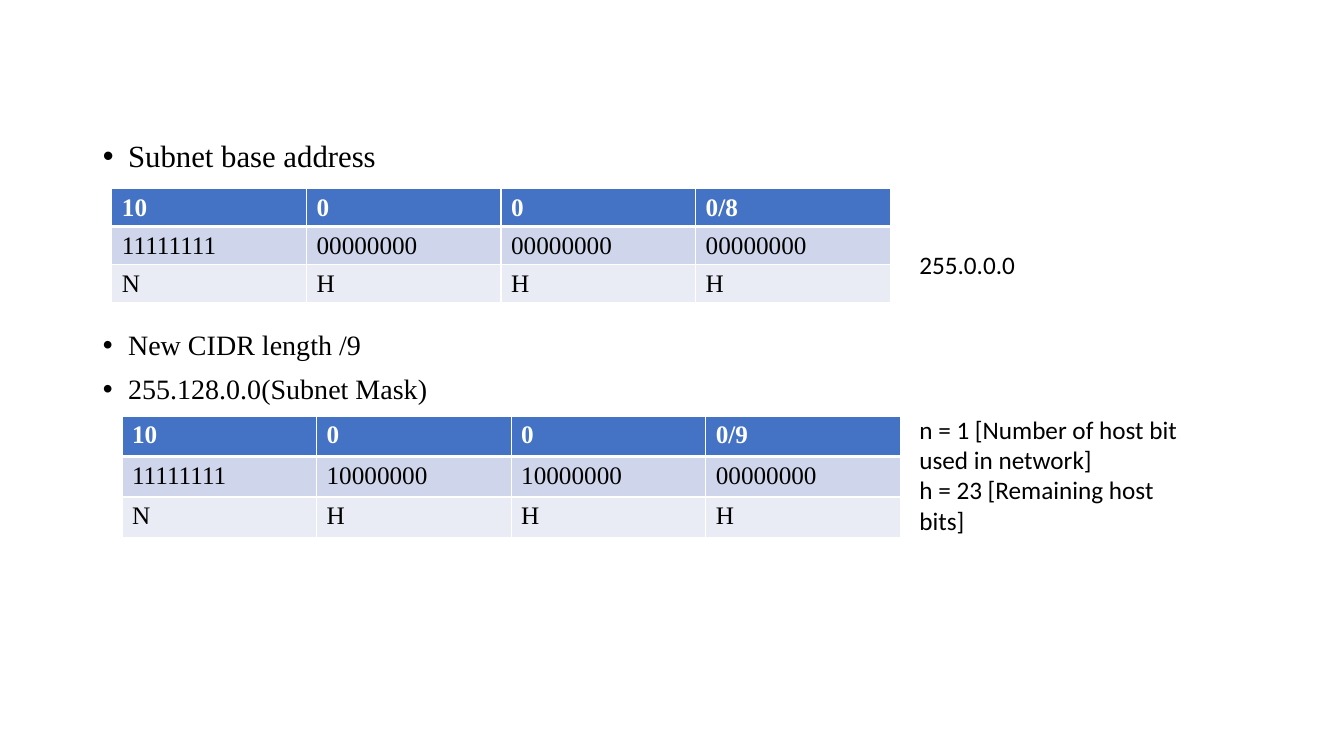
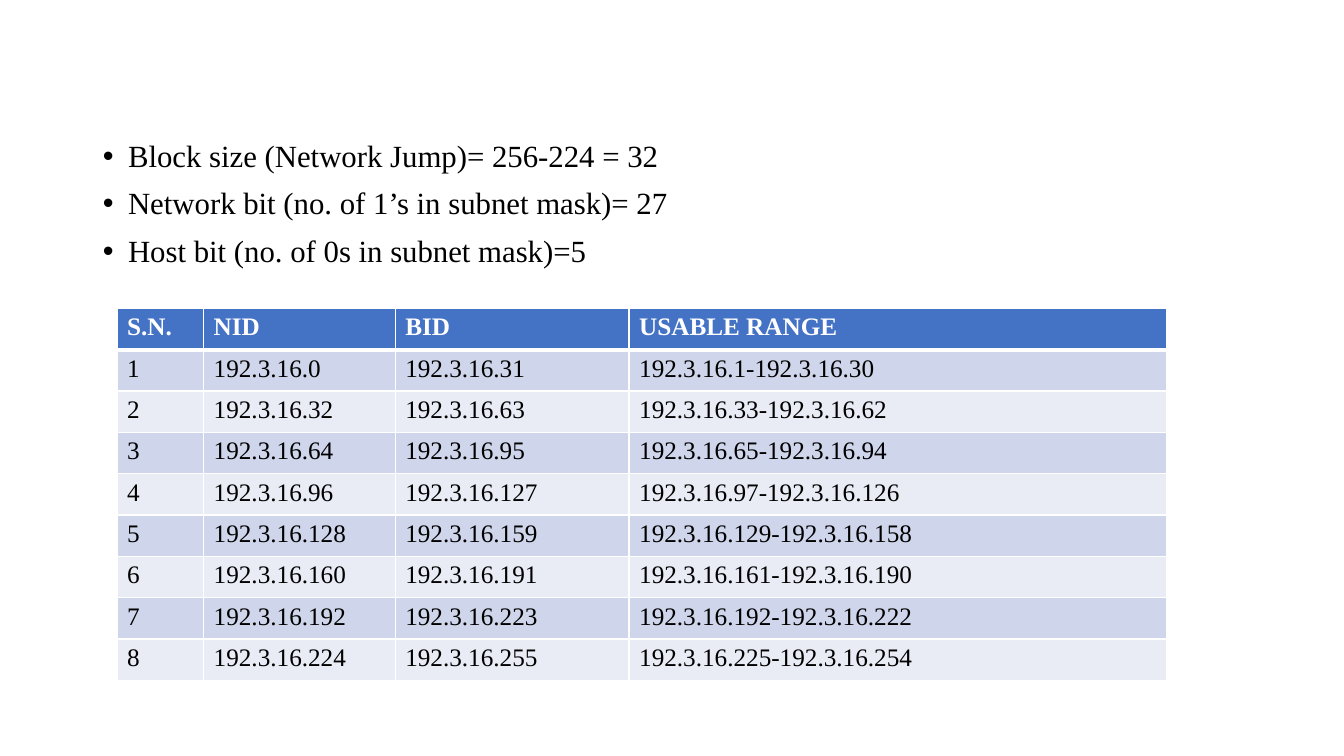
"""Builds two slides on subnetting, with bullets, address tables and side notes."""
from lxml import etree
from pptx import Presentation, util as u
from pptx.dml.color import RGBColor
from pptx.enum import text as t
from pptx.oxml import ns

WHITE = RGBColor(0xFF, 0xFF, 0xFF)
BLACK = RGBColor(0x00, 0x00, 0x00)
HEADER = RGBColor(0x44, 0x72, 0xC4)
BANDS = [RGBColor(0xCF, 0xD5, 0xEA), RGBColor(0xE9, 0xEB, 0xF5)]
SERIF, SANS = "Times New Roman", "Calibri"
BODY = (0.92, 1.35, 11.5, 5.4)
BULLET_GAP, TABLE_GAP = 10, 112
OCTETS = [1.93] * 4

SLIDES = [
    {
        "bullets": [
            ("Subnet base address", 22, 0, True),
            ("New CIDR length /9", 20, TABLE_GAP, False),
            ("255.128.0.0(Subnet Mask)", 20, BULLET_GAP, False),
        ],
        "tables": [
            {"at": (1.11, 1.87), "widths": OCTETS, "row": 0.37, "rows": [
                ("10", "0", "0", "0/8"),
                ("11111111", "00000000", "00000000", "00000000"),
                ("N", "H", "H", "H"),
            ]},
            {"at": (1.21, 4.13), "widths": OCTETS, "row": 0.4, "rows": [
                ("10", "0", "0", "0/9"),
                ("11111111", "10000000", "10000000", "00000000"),
                ("N", "H", "H", "H"),
            ]},
        ],
        "notes": [
            ((9.02, 2.42, 2.92, 0.4), ["255.0.0.0"]),
            ((9.02, 4.06, 2.92, 1.31), [
                "n = 1 [Number of host bit used in network]",
                "h = 23 [Remaining host bits]",
            ]),
        ],
    },
    {
        "bullets": [
            ("Block size (Network Jump)= 256-224 = 32", 22, 0, True),
            ("Network bit (no. of 1’s in subnet mask)= 27", 22, BULLET_GAP, True),
            ("Host bit (no. of 0s in subnet mask)=5", 22, BULLET_GAP, True),
        ],
        "tables": [
            {"at": (1.16, 3.06), "widths": [0.86, 1.9, 2.32, 5.33], "row": 0.41, "rows": [
                ("S.N.", "NID", "BID", "USABLE RANGE"),
                ("1", "192.3.16.0", "192.3.16.31", "192.3.16.1-192.3.16.30"),
                ("2", "192.3.16.32", "192.3.16.63", "192.3.16.33-192.3.16.62"),
                ("3", "192.3.16.64", "192.3.16.95", "192.3.16.65-192.3.16.94"),
                ("4", "192.3.16.96", "192.3.16.127", "192.3.16.97-192.3.16.126"),
                ("5", "192.3.16.128", "192.3.16.159", "192.3.16.129-192.3.16.158"),
                ("6", "192.3.16.160", "192.3.16.191", "192.3.16.161-192.3.16.190"),
                ("7", "192.3.16.192", "192.3.16.223", "192.3.16.192-192.3.16.222"),
                ("8", "192.3.16.224", "192.3.16.255", "192.3.16.225-192.3.16.254"),
            ]},
        ],
        "notes": [],
    },
]


def write(frame, index, text, *, size=18, font=SERIF, color=BLACK, bold=False,
          before=0, spacing=1.0, justify=False, bullet=False):
    """Write one formatted paragraph at the given index of a text frame."""
    para = frame.add_paragraph() if index else frame.paragraphs[0]
    para.alignment = t.PP_ALIGN.JUSTIFY if justify else t.PP_ALIGN.LEFT
    para.space_before, para.line_spacing = u.Pt(before), spacing
    if bullet:
        props = para._p.get_or_add_pPr()
        props.set("marL", str(u.Inches(0.25)))
        props.set("indent", str(-u.Inches(0.25)))
        etree.SubElement(props, ns.qn("a:buFont"), typeface="Arial")
        etree.SubElement(props, ns.qn("a:buChar"), char="•")
    span = para.add_run()
    span.text = text
    span.font.size, span.font.name, span.font.bold = u.Pt(size), font, bold
    span.font.color.rgb = color


def add_bullets(page, bullets):
    """Fill the body placeholder with the bullets."""
    body = page.placeholders[1]
    body.left, body.top, body.width, body.height = map(u.Inches, BODY)
    frame = body.text_frame
    frame.auto_size = t.MSO_AUTO_SIZE.NONE
    frame.vertical_anchor = t.MSO_ANCHOR.TOP
    for index, (text, size, before, justify) in enumerate(bullets):
        write(frame, index, text, size=size, before=before, spacing=0.9,
              justify=justify, bullet=True)


def set_borders(cell, row):
    """Draw white cell borders, thick between the header and the first row."""
    thick_side = {0: "B", 1: "T"}.get(row)
    props = cell._tc.get_or_add_tcPr()
    for side in "LRTB":
        width = u.Pt(3 if side == thick_side else 1)
        line = etree.SubElement(props, ns.qn(f"a:ln{side}"), w=str(width))
        fill = etree.SubElement(line, ns.qn("a:solidFill"))
        etree.SubElement(fill, ns.qn("a:srgbClr"), val=str(WHITE))


def add_grid(page, at, widths, row, rows):
    """Add a table with a header and alternating bands."""
    size = (sum(widths), row * len(rows))
    table = page.shapes.add_table(len(rows), len(widths),
                                  *map(u.Inches, at + size)).table
    for column, width in zip(table.columns, widths):
        column.width = u.Inches(width)
    for r, values in enumerate(rows):
        table.rows[r].height = u.Inches(row)
        header = r == 0
        for c, value in enumerate(values):
            cell = table.cell(r, c)
            set_borders(cell, r)
            cell.fill.solid()
            cell.fill.fore_color.rgb = HEADER if header else BANDS[(r - 1) % 2]
            write(cell.text_frame, 0, value, bold=header,
                  color=WHITE if header else BLACK)


def add_note(page, at, lines):
    """Add a wrapped side note."""
    frame = page.shapes.add_textbox(*map(u.Inches, at)).text_frame
    frame.word_wrap = True
    for index, line in enumerate(lines):
        write(frame, index, line, font=SANS)


def main():
    """Build and save the deck."""
    deck = Presentation()
    deck.slide_width, deck.slide_height = u.Inches(13.33), u.Inches(7.5)
    for content in SLIDES:
        page = deck.slides.add_slide(deck.slide_layouts[1])
        title = page.shapes.title.element
        title.getparent().remove(title)
        add_bullets(page, content["bullets"])
        for table in content["tables"]:
            add_grid(page, **table)
        for at, lines in content["notes"]:
            add_note(page, at, lines)
    deck.save("out.pptx")


if __name__ == "__main__":
    main()
